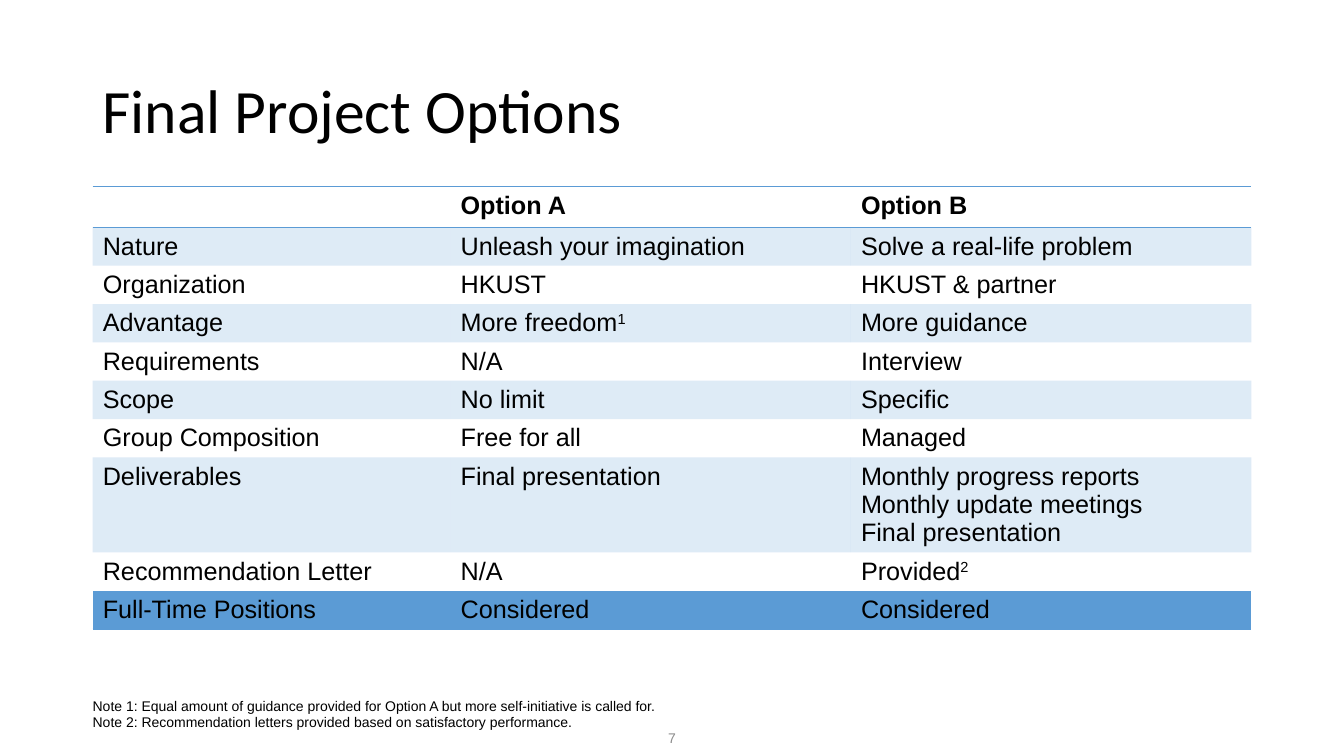
from dataclasses import dataclass

from lxml.etree import SubElement
from pptx import Presentation
from pptx.dml.color import RGBColor
from pptx.enum.text import MSO_ANCHOR, MSO_AUTO_SIZE, PP_ALIGN
from pptx.oxml.ns import qn
from pptx.slide import Slide
from pptx.table import _Cell
from pptx.text.text import Font
from pptx.util import Pt

BLACK, GREY, BLUE = "000000", "8C8C8C", "5B9BD5"
LEFT, WIDTH = 66.24, 828
COLUMN_WIDTHS = (255.6, 286, 286)
LINE_HEIGHT, CELL_PADDING = 20.2, 7.2
NO_STYLE = "{2D5ABB26-0587-4C30-8999-92F81FD0307C}"

# A caret marks a superscript note number; a line break starts a new paragraph
ROWS = (
    ("", "Option A", "Option B"),
    ("Nature", "Unleash your imagination", "Solve a real-life problem"),
    ("Organization", "HKUST", "HKUST & partner"),
    ("Advantage", "More freedom^1", "More guidance"),
    ("Requirements", "N/A", "Interview"),
    ("Scope", "No limit", "Specific"),
    ("Group Composition", "Free for all", "Managed"),
    ("Deliverables", "Final presentation",
     "Monthly progress reports\nMonthly update meetings\nFinal presentation"),
    ("Recommendation Letter", "N/A", "Provided^2"),
    ("Full-Time Positions", "Considered", "Considered"),
)


@dataclass
class TextBlock:
    text: str
    box: tuple[float, float, float, float]
    size: float
    font: str = "Arial"
    color: str = BLACK
    anchor: MSO_ANCHOR = MSO_ANCHOR.MIDDLE
    align: PP_ALIGN = PP_ALIGN.LEFT
    insets: tuple[float, float, float, float] = (7.2, 3.6, 7.2, 3.6)
    spacing: float = 1.0
    grow: bool = False


TITLE = TextBlock("Final Project Options", (LEFT, 28.8, WIDTH, 104.4), 44,
                  font="Calibri", spacing=0.9)
PAGE_NUMBER = TextBlock("7", (372, 511.2, 216, 28.8), 10, color=GREY,
                        align=PP_ALIGN.CENTER, insets=(7.2, 3.6, 7.2, 0))
NOTES = TextBlock(
    "Note 1: Equal amount of guidance provided for Option A but more self-initiative is called for.\n"
    "Note 2: Recommendation letters provided based on satisfactory performance.",
    (LEFT, 494, WIDTH, 31.5), 10, anchor=MSO_ANCHOR.BOTTOM,
    insets=(0, 3.6, 7.2, 3.6), grow=True)


def rgb(color: str) -> RGBColor:
    return RGBColor.from_string(color)


def style_font(font: Font, size: float, name: str = "Arial",
               color: str = BLACK, bold: bool = False) -> None:
    font.size, font.name, font.bold = Pt(size), name, bold
    font.color.rgb = rgb(color)


def add_text(s: Slide, block: TextBlock) -> None:
    sp = s.shapes.add_textbox(*map(Pt, block.box))
    tf = sp.text_frame
    tf.text = block.text
    tf.word_wrap = True
    tf.vertical_anchor = block.anchor
    tf.auto_size = MSO_AUTO_SIZE.SHAPE_TO_FIT_TEXT if block.grow else MSO_AUTO_SIZE.NONE
    tf.margin_left, tf.margin_top, tf.margin_right, tf.margin_bottom = map(Pt, block.insets)
    for p in tf.paragraphs:
        p.alignment = block.align
        p.line_spacing = block.spacing
        for r in p.runs:
            style_font(r.font, block.size, block.font, block.color)


def add_border(cell: _Cell, side: str) -> None:
    tc_pr = cell._tc.get_or_add_tcPr()
    ln = SubElement(tc_pr, qn(f"a:ln{side}"), w=str(Pt(1)))
    fill = SubElement(ln, qn("a:solidFill"))
    SubElement(fill, qn("a:srgbClr"), val=BLUE)


def fill_cell(cell: _Cell, banded: bool) -> None:
    if not banded:
        cell.fill.background()
        return
    cell.fill.solid()
    cell.fill.fore_color.rgb = rgb(BLUE)
    color = cell._tc.tcPr.find(".//" + qn("a:srgbClr"))
    SubElement(color, qn("a:alpha"), val="20000")


def write_cell(cell: _Cell, text: str, bold: bool) -> None:
    cell.text_frame.text = text
    for p in cell.text_frame.paragraphs:
        words, _, note = p.text.partition("^")
        p.text = words
        if note:
            r = p.add_run()
            r.text = note
            r.font._element.set("baseline", "30000")
        for r in p.runs:
            style_font(r.font, 18, bold=bold)


def add_options_table(s: Slide) -> None:
    heights = [LINE_HEIGHT * (1 + max(t.count("\n") for t in row)) + CELL_PADDING
               for row in ROWS]
    frame = s.shapes.add_table(len(ROWS), len(COLUMN_WIDTHS), Pt(LEFT), Pt(133.2),
                               Pt(sum(COLUMN_WIDTHS)), Pt(sum(heights)))
    table = frame.table
    table.first_row = table.horz_banding = False
    table._tbl.tblPr.find(qn("a:tableStyleId")).text = NO_STYLE
    for column, width in zip(table.columns, COLUMN_WIDTHS):
        column.width = Pt(width)
    # Rules above and below the header and below the last row
    borders = {0: "TB", len(ROWS) - 1: "B"}
    for i, (row, texts) in enumerate(zip(table.rows, ROWS)):
        row.height = Pt(heights[i])
        for cell, text in zip(row.cells, texts):
            write_cell(cell, text, bold=i == 0)
            for side in borders.get(i, ""):
                add_border(cell, side)
            fill_cell(cell, banded=i % 2 == 1)


def main() -> None:
    prs = Presentation()
    prs.slide_width, prs.slide_height = Pt(960), Pt(540)
    s = prs.slides.add_slide(prs.slide_layouts[6])
    add_text(s, TITLE)
    add_text(s, PAGE_NUMBER)
    add_options_table(s)
    add_text(s, NOTES)
    prs.save("out.pptx")


if __name__ == "__main__":
    main()
